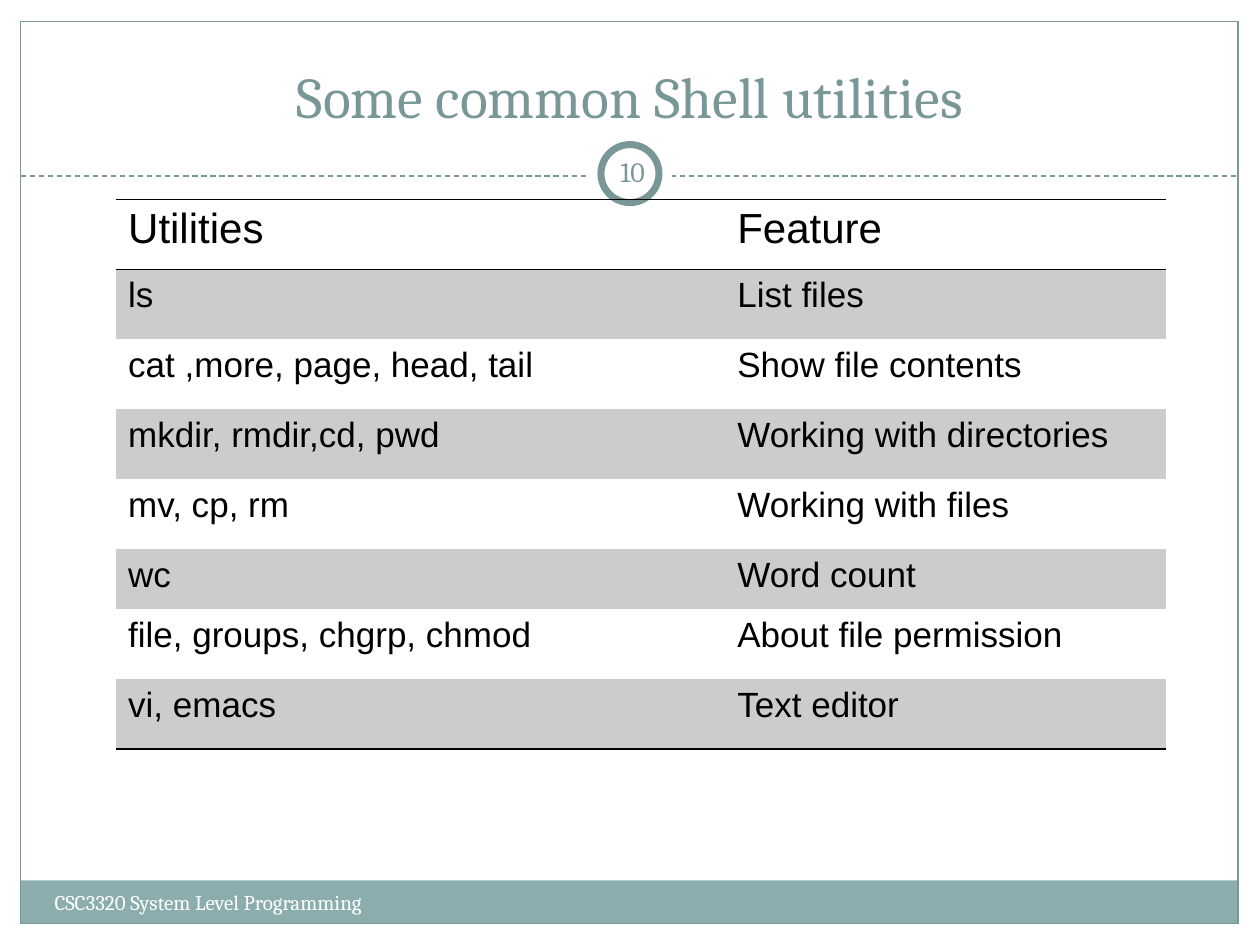
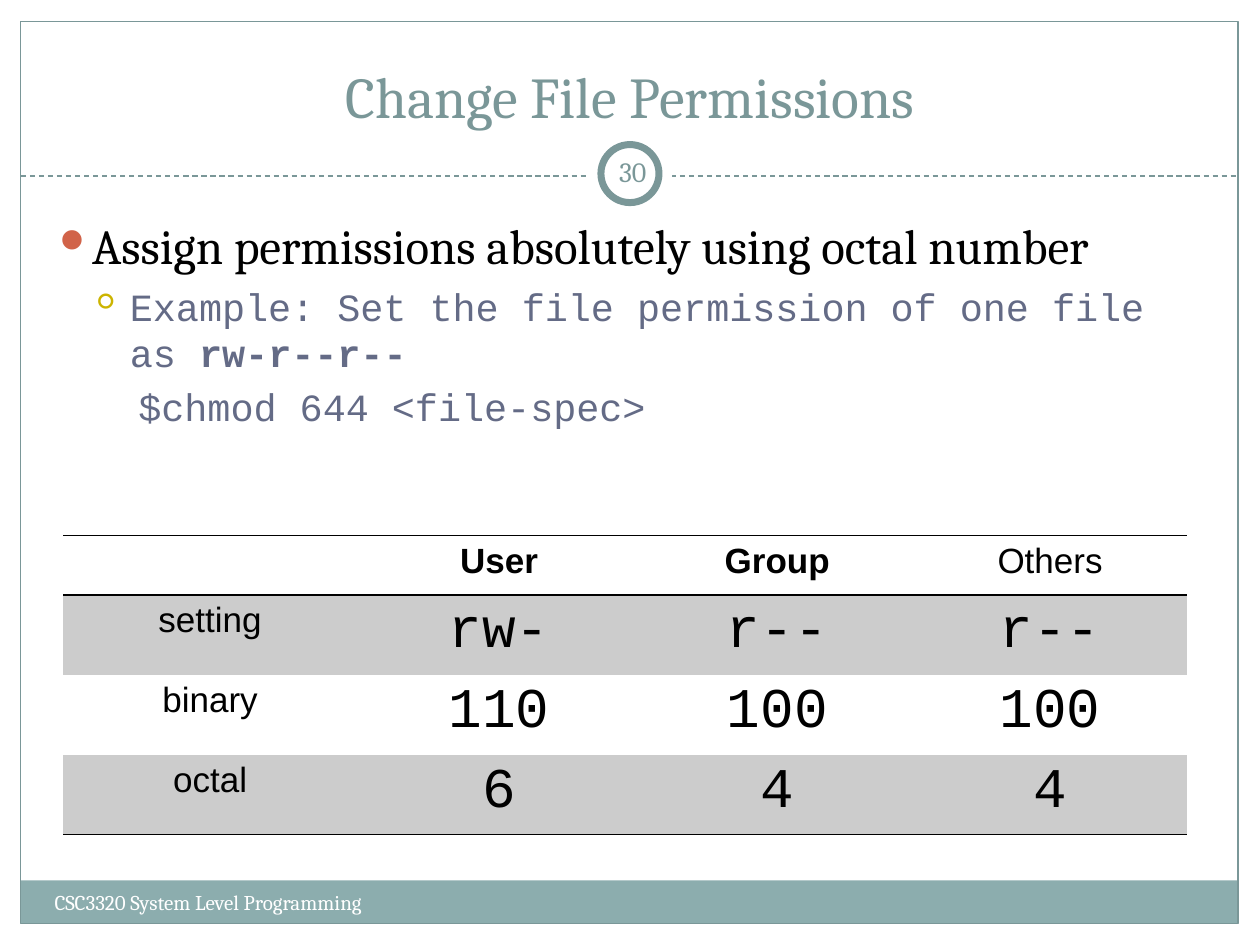
import pptx
import pptx.util
import pptx.dml.color
import pptx.enum.dml
import pptx.enum.shapes
import pptx.enum.text
import pptx.oxml
import pptx.oxml.ns
import lxml.etree

Cm = pptx.util.Cm
Pt = pptx.util.Pt
RGBColor = pptx.dml.color.RGBColor
MSO_SHAPE = pptx.enum.shapes.MSO_SHAPE
PP_ALIGN = pptx.enum.text.PP_ALIGN
MSO_ANCHOR = pptx.enum.text.MSO_ANCHOR
qn = pptx.oxml.ns.qn

TEAL = RGBColor(0x7A, 0x97, 0x98)
FOOTER_TEAL = RGBColor(0x8C, 0xAD, 0xAE)
SLATE = RGBColor(0x64, 0x6B, 0x86)
RUST = RGBColor(0xD1, 0x63, 0x49)
OLIVE = RGBColor(0xCC, 0xB4, 0x00)
BAND_GREY = RGBColor(0xCC, 0xCC, 0xCC)
WHITE = RGBColor(0xFF, 0xFF, 0xFF)
BLACK = RGBColor(0, 0, 0)

SERIF = "Cambria"
SANS = "Arial"
MONO = "Courier New"
PLAIN_TABLE_STYLE = "{2D5ABB26-0587-4C30-8999-92F81FD0307C}"


def add_text(slide, box, text, size, color, align, anchor, inset=0.25):
    frame = slide.shapes.add_textbox(*[Cm(length) for length in box]).text_frame
    frame.word_wrap = True
    frame.vertical_anchor = anchor
    frame.margin_left = frame.margin_right = Cm(inset)
    frame.text = text
    frame.paragraphs[0].alignment = align
    font = frame.paragraphs[0].runs[0].font
    font.name, font.size, font.color.rgb = SERIF, Pt(size), color
    return frame


def add_banded_table(slide, left, top, widths, heights, rows, align):
    table = slide.shapes.add_table(
        len(rows), len(widths), Cm(left), Cm(top), Cm(sum(widths)), Cm(sum(heights))
    ).table
    table.first_row = table.horz_banding = False
    table._tbl.tblPr.find(qn("a:tableStyleId")).text = PLAIN_TABLE_STYLE
    for column, width in zip(table.columns, widths):
        column.width = Cm(width)
    for r, texts in enumerate(rows):
        table.rows[r].height = Cm(heights[r])
        # Rules above and below the header, and under the last row
        edges = ["a:lnT", "a:lnB"] if r == 0 else ["a:lnB"] if r == len(rows) - 1 else []
        for c, text in enumerate(texts):
            cell = table.cell(r, c)
            tc_pr = cell._tc.get_or_add_tcPr()
            for edge in edges:
                rule = lxml.etree.SubElement(tc_pr, qn(edge), w="12700")
                fill = lxml.etree.SubElement(rule, qn("a:solidFill"))
                lxml.etree.SubElement(fill, qn("a:srgbClr"), val=str(BLACK))
            if r % 2:
                cell.fill.solid()
                cell.fill.fore_color.rgb = BAND_GREY
            else:
                cell.fill.background()
            cell.text = text
            paragraph = cell.text_frame.paragraphs[0]
            paragraph.alignment = align
            paragraph.font.size = Pt(20)
            for run in paragraph.runs:
                run.font.name, run.font.size = SANS, Pt(20)
                run.font.color.rgb = BLACK
    return table


deck = pptx.Presentation()
deck.slide_width, deck.slide_height = Cm(25.4), Cm(19.05)

# Frame, divider, number ring, title and footer on every slide
slides = []
for title, number in [("Some common Shell utilities", "10"), ("Change File Permissions", "30")]:
    slide = deck.slides.add_slide(deck.slide_layouts[6])
    slides.append(slide)

    footer_band = slide.shapes.add_shape(
        MSO_SHAPE.RECTANGLE, Cm(0.42), Cm(17.75), Cm(24.54), Cm(0.87))
    footer_band.shadow.inherit = False
    footer_band.fill.solid()
    footer_band.fill.fore_color.rgb = FOOTER_TEAL
    footer_band.line.fill.background()

    border = slide.shapes.add_shape(
        MSO_SHAPE.RECTANGLE, Cm(0.42), Cm(0.43), Cm(24.54), Cm(18.19))
    border.shadow.inherit = False
    border.fill.background()
    border.line.color.rgb = TEAL
    border.line.width = Pt(0.75)

    divider = slide.shapes.add_connector(
        pptx.enum.shapes.MSO_CONNECTOR.STRAIGHT, Cm(0.42), Cm(3.55), Cm(24.96), Cm(3.55))
    divider.line.color.rgb = TEAL
    divider.line.width = Pt(0.75)
    divider.line.dash_style = pptx.enum.dml.MSO_LINE.DASH
    lxml.etree.SubElement(divider._element.spPr, qn("a:effectLst"))

    for diameter, ring_width in [(1.7, 0), (1.17, 4)]:
        ring = slide.shapes.add_shape(
            MSO_SHAPE.OVAL, Cm(12.7 - diameter / 2), Cm(3.5 - diameter / 2),
            Cm(diameter), Cm(diameter))
        ring.shadow.inherit = False
        ring.fill.solid()
        ring.fill.fore_color.rgb = WHITE
        if ring_width:
            ring.line.color.rgb = TEAL
            ring.line.width = Pt(ring_width)
        else:
            ring.line.fill.background()

    add_text(slide, (0.85, 0.63, 23.7, 2.12), title, 33, TEAL,
             PP_ALIGN.CENTER, MSO_ANCHOR.BOTTOM)
    add_text(slide, (0.85, 17.8, 9.95, 1.02), "CSC3320 System Level Programming", 12, WHITE,
             PP_ALIGN.LEFT, MSO_ANCHOR.TOP)
    add_text(slide, (12.12, 2.85, 1.27, 1.22), number, 16, TEAL,
             PP_ALIGN.CENTER, MSO_ANCHOR.MIDDLE, inset=0.13)

utilities_slide, permissions_slide = slides

# Utilities and what they do
utilities = [
    ("Utilities", "Feature"),
    ("ls", "List files"),
    ("cat ,more, page, head, tail", "Show file contents"),
    ("mkdir, rmdir,cd, pwd", "Working with directories"),
    ("mv, cp, rm", "Working with files"),
    ("wc", "Word count"),
    ("file, groups, chgrp, chmod", "About file permission"),
    ("vi, emacs", "Text editor"),
]
utilities_table = add_banded_table(
    utilities_slide, 2.33, 4.02, [12.28, 8.89], [1.41] * 5 + [1.21] + [1.41] * 2,
    utilities, PP_ALIGN.LEFT)
for heading in utilities_table.rows[0].cells:
    heading.text_frame.paragraphs[0].runs[0].font.size = Pt(24)

# Explanation of octal permissions
explanation = add_text(
    permissions_slide, (0.85, 4.23, 23.62, 12.7),
    "Assign permissions absolutely using octal number", 28, BLACK,
    PP_ALIGN.LEFT, MSO_ANCHOR.TOP)
for pieces in [("Example: Set the file permission of one file as ", "rw-r--r--"),
               ("$chmod 644 <file-spec>",)]:
    paragraph = explanation.add_paragraph()
    paragraph.level = 1
    paragraph.space_before = Pt(4.4)
    for piece in pieces:
        run = paragraph.add_run()
        run.text = piece
        run.font.name, run.font.size = MONO, Pt(22)
        run.font.color.rgb = SLATE
        run.font.bold = piece == "rw-r--r--"

# Indents and bullets: left margin, first-line indent, symbol, colour
outline = [(0.76, -0.76, "⚫", RUST), (1.52, -0.76, "⚪", OLIVE), (1.69, 0, None, None)]
for paragraph, (margin, indent, symbol, color) in zip(explanation.paragraphs, outline):
    p_pr = paragraph._p.get_or_add_pPr()
    p_pr.set("marL", str(Cm(margin)))
    p_pr.set("indent", str(Cm(indent)))
    if symbol:
        bullet_color = lxml.etree.SubElement(p_pr, qn("a:buClr"))
        lxml.etree.SubElement(bullet_color, qn("a:srgbClr"), val=str(color))
        lxml.etree.SubElement(p_pr, qn("a:buSzPct"), val="85000")
        lxml.etree.SubElement(p_pr, qn("a:buChar"), char=symbol)
    else:
        lxml.etree.SubElement(p_pr, qn("a:buNone"))

# Permissions as setting, binary and octal
permissions = [
    ("", "User", "Group", "Others"),
    ("setting", "rw-", "r--", "r--"),
    ("binary", "110", "100", "100"),
    ("octal", "6", "4", "4"),
]
permissions_table = add_banded_table(
    permissions_slide, 1.27, 10.79, [5.93, 5.72, 5.5, 5.5], [1.2] + [1.53] * 3,
    permissions, PP_ALIGN.CENTER)
for c in range(1, 4):
    heading = permissions_table.cell(0, c)
    heading.text_frame.paragraphs[0].runs[0].font.bold = heading.text != "Others"
    for r in range(1, 4):
        value_font = permissions_table.cell(r, c).text_frame.paragraphs[0].runs[0].font
        value_font.name, value_font.size = MONO, Pt(32)

deck.save("out.pptx")
